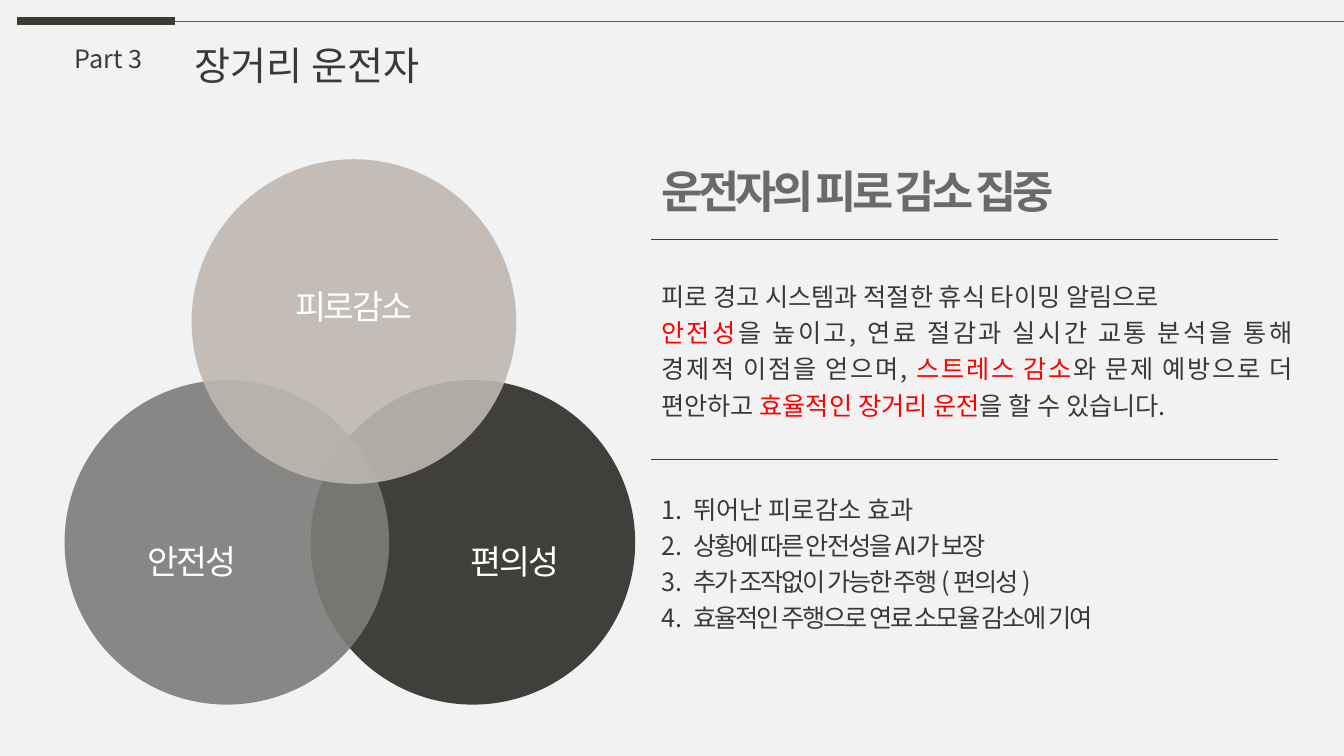
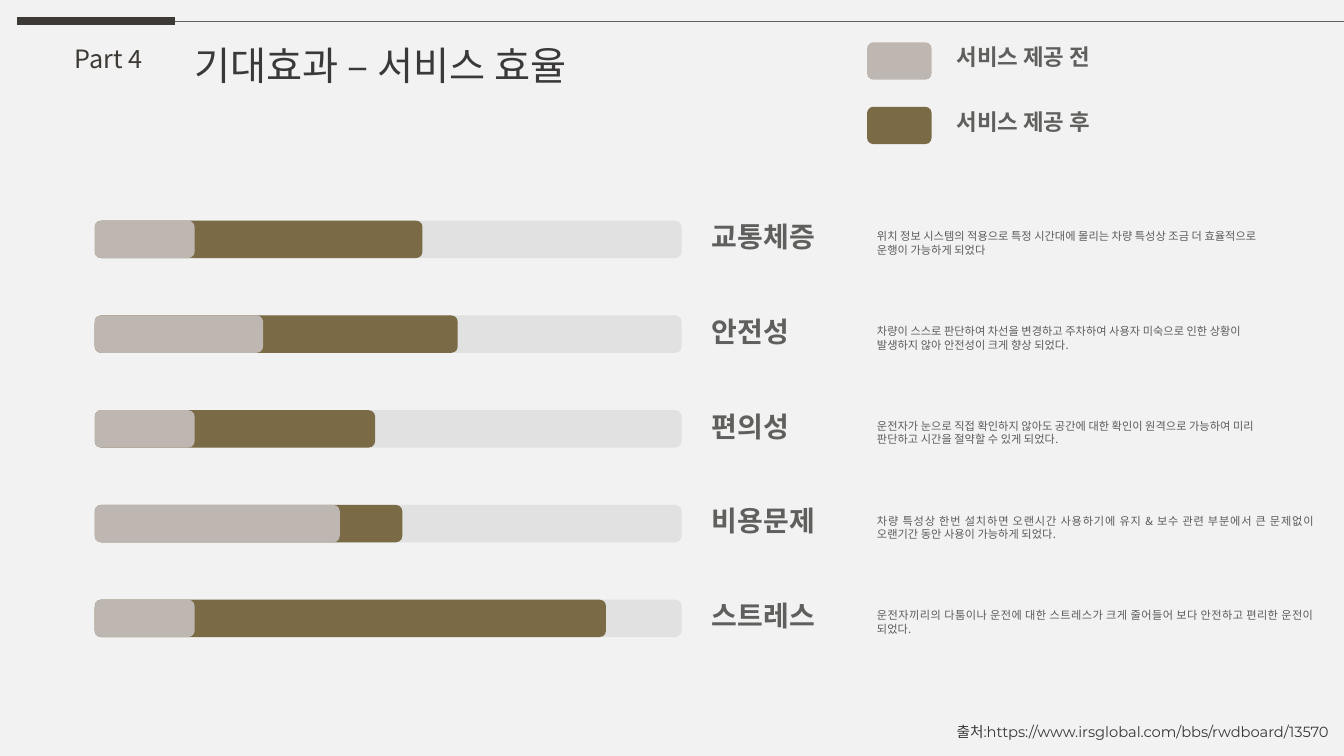
from dataclasses import dataclass

from lxml.etree import SubElement
from pptx import Presentation
from pptx.dml.color import RGBColor
from pptx.enum.shapes import MSO_CONNECTOR as Connector, MSO_SHAPE as Preset
from pptx.enum.text import MSO_ANCHOR as Anchor, MSO_AUTO_SIZE as AutoSize, PP_ALIGN as Align
from pptx.oxml.ns import qn
from pptx.util import Pt

PX = 9144  # EMU per px, 100 px to the inch
FONT = "Noto Sans CJK KR"
COLORS = {
    "background": "F2F2F2", "band": "3D3A35", "rule": "5F5F5D",
    "body": "3A3838", "heading": "6C6969", "label": "5F5F5D",
    "detail": "5D5B5B", "accent": "FF0000", "white": "FFFFFF",
    "before": "BEB7B1", "after": "7A6A45", "track": "DADADA",
    "convenience": "2E2C28", "safety": "7C7C7A", "fatigue": "BEB7B1",
}


@dataclass(frozen=True)
class Style:
    size: float
    color: str = "body"
    bold: bool = False
    tracking: float = 0
    font: str = FONT
    align: Align = Align.LEFT
    spacing: float = 1.0


@dataclass(frozen=True)
class Span:
    text: str
    color: str = ""
    tracking: float = 0


@dataclass(frozen=True)
class Circle:
    label: str
    color: str
    left: int
    top: int
    label_box: tuple[int, int, int, int]


@dataclass(frozen=True)
class Effect:
    label: str
    label_width: int
    before: int
    after: int
    details: tuple[str, ...]


TITLE = Style(28)
PART = Style(18, "band")
HEADING = Style(32, "heading", bold=True, tracking=-3)
BODY = Style(18, align=Align.JUSTIFY, spacing=1.2)
CIRCLE_LABEL = Style(24, "white", tracking=-1.5, align=Align.CENTER)
EFFECT_LABEL = Style(20, "label", bold=True)
LEGEND = Style(16, "label", bold=True)
DETAIL = Style(8, "detail", align=Align.JUSTIFY)
SOURCE = Style(10.5, font="Montserrat")

CIRCLE_SIZE = 322
CIRCLES = (
    Circle("편의성", "convenience", 308, 377, (453, 532, 115, 50)),
    Circle("안전성", "safety", 64, 377, (133, 532, 115, 50)),
    Circle("피로감소", "fatigue", 190, 158, (278, 279, 146, 50)),
)
SUMMARY = (
    (Span("피로 경고 시스템과 적절한 휴식 타이밍 알림으로"),),
    (
        Span("안전성", "accent"),
        Span("을 높이고, 연료 절감과 실시간 교통 분석을 통해 경제적 이점을 얻으며, "),
        Span("스트레스 감소", "accent"),
        Span("와 문제 예방으로 더 편안하고 "),
        Span("효율적인 장거리 운전", "accent"),
        Span("을 할 수 있습니다."),
    ),
)
BENEFITS = (
    (Span("뛰어난 피로감소 효과"),),
    (Span("상황에 따른 안전성을 AI가 보장", tracking=-1.5),),
    (Span("추가 조작없이 가능한 주행 ( 편의성 )", tracking=-1.5),),
    (Span("효율적인 주행으로 연료 소모율 감소에 기여", tracking=-1.5),),
)
BAR_LEFT, BAR_TOP, BAR_HEIGHT, BAR_PITCH, TRACK_WIDTH = 94, 219, 37, 94, 582
EFFECTS = (
    Effect("교통체증", 130, 99, 325, (
        "위치 정보 시스템의 적용으로 특정 시간대에 몰리는 차량 특성상 조금 더 효율적으로",
        "운행이 가능하게 되었다")),
    Effect("안전성", 103, 167, 360, (
        "차량이 스스로 판단하여 차선을 변경하고 주차하여 사용자 미숙으로 인한 상황이",
        "발생하지 않아 안전성이 크게 향상 되었다.")),
    Effect("편의성", 103, 99, 278, (
        "운전자가 눈으로 직접 확인하지 않아도 공간에 대한 확인이 원격으로 가능하여 미리",
        "판단하고 시간을 절약할 수 있게 되었다.")),
    Effect("비용문제", 130, 243, 305, (
        "차량 특성상 한번 설치하면 오랜시간 사용하기에 유지 & 보수 관련 부분에서 큰 문제없이 "
        "오랜기간 동안 사용이 가능하게 되었다.",)),
    Effect("스트레스", 130, 99, 507, (
        "운전자끼리의 다툼이나 운전에 대한 스트레스가 크게 줄어들어 보다 안전하고 편리한 운전이 "
        "되었다.",)),
)


def rgb(name: str) -> RGBColor:
    return RGBColor.from_string(COLORS[name])


def write(frame, paragraphs, style: Style, wrap: bool = False, numbered: bool = False) -> None:
    """Fill a text frame run by run; each paragraph is a sequence of spans."""
    frame.word_wrap = wrap
    frame.auto_size = AutoSize.SHAPE_TO_FIT_TEXT
    frame.vertical_anchor = Anchor.TOP
    for index, spans in enumerate(paragraphs):
        paragraph = frame.add_paragraph() if index else frame.paragraphs[0]
        paragraph.alignment = style.align
        paragraph.line_spacing = style.spacing
        if numbered:
            properties = paragraph._p.get_or_add_pPr()
            properties.set("marL", str(32 * PX))
            properties.set("indent", str(-32 * PX))
            SubElement(properties, qn("a:buFont"), typeface=FONT)
            SubElement(properties, qn("a:buAutoNum"), type="arabicPeriod")
        for span in spans:
            run = paragraph.add_run()
            run.text = span.text
            run.font.size = Pt(style.size)
            run.font.bold = style.bold
            run.font.color.rgb = rgb(span.color or style.color)
            run.font.name = style.font
            run_properties = run._r.get_or_add_rPr()
            SubElement(run_properties, qn("a:ea"), typeface=FONT)
            tracking = span.tracking or style.tracking
            if tracking:
                run_properties.set("spc", str(int(tracking * 100)))


def add_text(slide, box, paragraphs, style: Style, wrap=False, numbered=False) -> None:
    frame = slide.shapes.add_textbox(*(n * PX for n in box)).text_frame
    write(frame, paragraphs, style, wrap, numbered)


def add_label(slide, box, text: str, style: Style, wrap: bool = False) -> None:
    add_text(slide, box, ((Span(text),),), style, wrap)


def add_filled(slide, preset: Preset, box, color: str, opacity: int = 100) -> None:
    shape = slide.shapes.add_shape(preset, *(n * PX for n in box))
    shape.shadow.inherit = False
    shape.line.fill.background()
    shape.fill.solid()
    shape.fill.fore_color.rgb = rgb(color)
    if opacity < 100:
        tint = shape._element.spPr.find(qn("a:solidFill"))[0]
        SubElement(tint, qn("a:alpha"), val=str(opacity * 1000))


def add_rule(slide, left: int, right: int, top: int, color: str, width: float) -> None:
    rule = slide.shapes.add_connector(
        Connector.STRAIGHT, left * PX, top * PX, right * PX, top * PX)
    rule.line.color.rgb = rgb(color)
    rule.line.width = Pt(width)
    SubElement(rule._element.spPr, qn("a:effectLst"))


def new_slide(prs, part: str, title: str, title_width: int):
    """Title-only slide with the shared top band and part number."""
    slide = prs.slides.add_slide(prs.slide_layouts[5])
    heading = slide.shapes.title
    heading.left, heading.top = 183 * PX, 36 * PX
    heading.width, heading.height = title_width * PX, 57 * PX
    write(heading.text_frame, ((Span(title),),), TITLE)
    add_rule(slide, 17, 174, 21, "band", 6)
    add_rule(slide, 174, 1333, 21, "rule", 0.5)
    add_label(slide, (64, 38, 92, 40), part, PART)
    return slide


def build_drivers(prs) -> None:
    slide = new_slide(prs, "Part 3", "장거리 운전자", 269)
    # Overlapping circles, then their labels on top
    for circle in CIRCLES:
        box = (circle.left, circle.top, CIRCLE_SIZE, CIRCLE_SIZE)
        add_filled(slide, Preset.OVAL, box, circle.color, 90)
    for circle in CIRCLES:
        add_label(slide, circle.label_box, circle.label, CIRCLE_LABEL)
    # Heading, summary and numbered benefits
    add_label(slide, (646, 158, 450, 64), "운전자의 피로 감소 집중", HEADING)
    for top in (237, 456):
        add_rule(slide, 646, 1268, top, "body", 0.5)
    add_text(slide, (646, 268, 646, 188), SUMMARY, BODY, wrap=True)
    add_text(slide, (646, 479, 576, 184), BENEFITS, BODY, wrap=True, numbered=True)


def build_effects(prs) -> None:
    slide = new_slide(prs, "Part 4", "기대효과 – 서비스 효율", 446)
    # Legend
    for index, (color, text) in enumerate(
            (("before", "서비스 제공 전"), ("after", "서비스 제공 후"))):
        drop = index * 64
        add_filled(slide, Preset.ROUNDED_RECTANGLE, (860, 42 + drop, 64, BAR_HEIGHT), color)
        add_label(slide, (939, 38 + drop, 167, 37), text, LEGEND)
    # One row per effect: track, after, before, label, detail
    for index, effect in enumerate(EFFECTS):
        top = BAR_TOP + index * BAR_PITCH
        for width, color, opacity in ((TRACK_WIDTH, "track", 70),
                                      (effect.after, "after", 100),
                                      (effect.before, "before", 100)):
            box = (BAR_LEFT, top, width, BAR_HEIGHT)
            add_filled(slide, Preset.ROUNDED_RECTANGLE, box, color, opacity)
        add_label(slide, (696, top - 6, effect.label_width, 44), effect.label, EFFECT_LABEL)
        details = [(Span(line),) for line in effect.details]
        add_text(slide, (860, top + 4, 453, 37), details, DETAIL, wrap=True)
    # Source
    add_label(slide, (939, 712, 390, 28),
              "출처:https://www.irsglobal.com/bbs/rwdboard/13570", SOURCE, wrap=True)


def main() -> None:
    prs = Presentation()
    prs.slide_width, prs.slide_height = 1333 * PX, 750 * PX
    backdrop = prs.slide_master.background.fill
    backdrop.solid()
    backdrop.fore_color.rgb = rgb("background")
    build_drivers(prs)
    build_effects(prs)
    prs.save("out.pptx")


if __name__ == "__main__":
    main()
